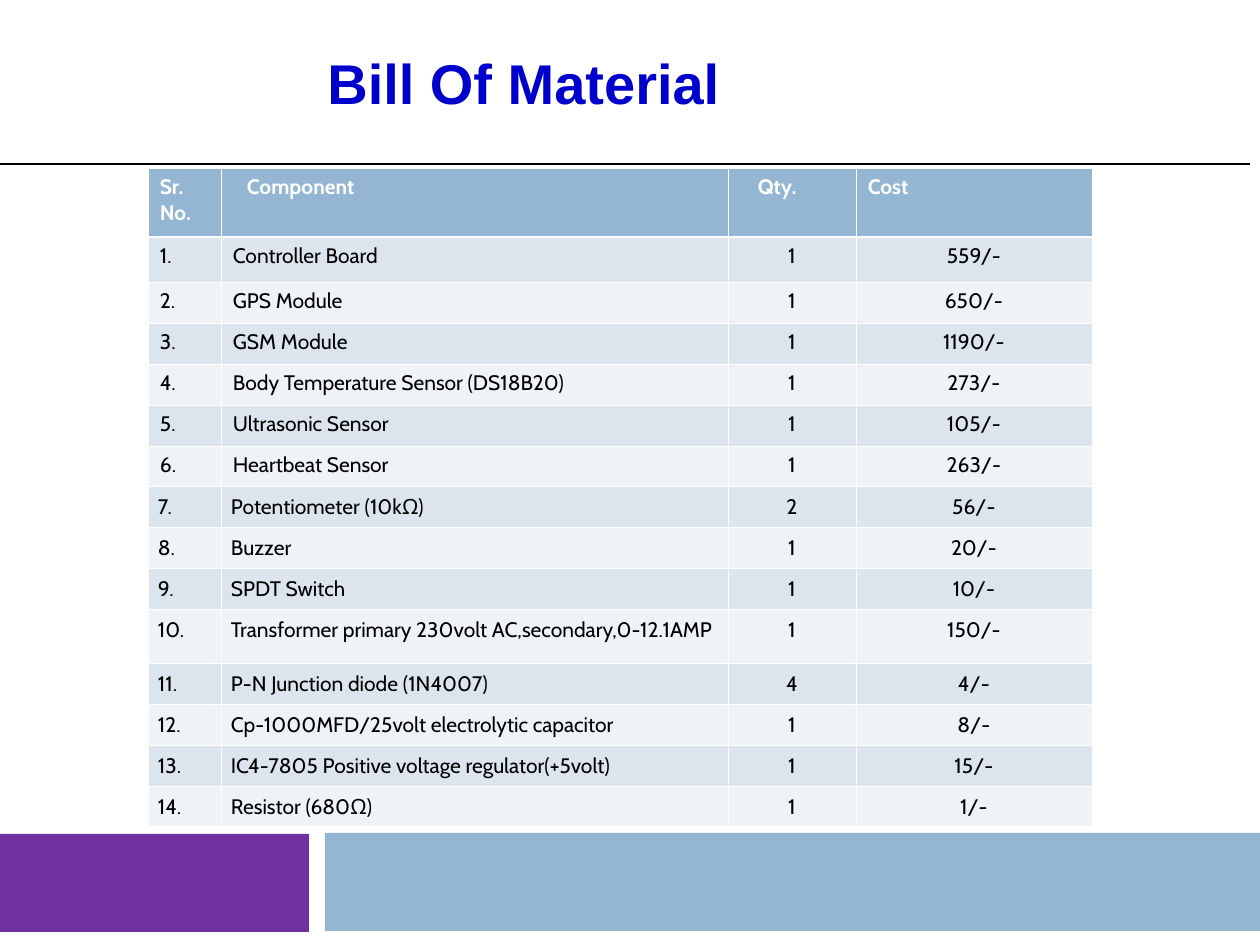
from pptx import Presentation
from pptx.dml.color import RGBColor
from pptx.enum.shapes import MSO_CONNECTOR, MSO_SHAPE
from pptx.enum.text import PP_ALIGN
from pptx.oxml.ns import qn
from pptx.util import Emu, Pt
from lxml import etree

RECTANGLE = MSO_SHAPE.RECTANGLE
STRAIGHT = MSO_CONNECTOR.STRAIGHT
LEFT, CENTER = PP_ALIGN.LEFT, PP_ALIGN.CENTER

WHITE = RGBColor(0xFF, 0xFF, 0xFF)
BLACK = RGBColor(0x00, 0x00, 0x00)
TITLE_BLUE = RGBColor(0x00, 0x00, 0xCC)
PURPLE = RGBColor(0x70, 0x30, 0xA0)
STEEL_BLUE = RGBColor(0x94, 0xB6, 0xD2)
DARK_BAND = RGBColor(0xDC, 0xE5, 0xEE)
LIGHT_BAND = RGBColor(0xEF, 0xF3, 0xF7)

HEADER = ("Sr. No.", "Component", "Qty.", "Cost")
HEADER_INDENTS = (0, 14, 18, 0)
ITEMS = [
    ("Controller Board", "1", "559/-"),
    ("GPS Module", "1", "650/-"),
    ("GSM Module", "1", "1190/-"),
    ("Body Temperature Sensor (DS18B20)", "1", "273/-"),
    ("Ultrasonic Sensor", "1", "105/-"),
    ("Heartbeat Sensor", "1", "263/-"),
    ("Potentiometer (10kΩ)", "2", "56/-"),
    ("Buzzer", "1", "20/-"),
    ("SPDT Switch", "1", "10/-"),
    ("Transformer primary 230volt AC,secondary,0-12.1AMP", "1", "150/-"),
    ("P-N Junction diode (1N4007)", "4", "4/-"),
    ("Cp-1000MFD/25volt electrolytic capacitor", "1", "8/-"),
    ("IC4-7805 Positive voltage regulator(+5volt)", "1", "15/-"),
    ("Resistor (680Ω)", "1", "1/-"),
]
COLUMN_WIDTHS = (73, 507, 128, 236)
ROW_HEIGHTS = [69, 45] + [41] * 8 + [54] + [41] * 3 + [40]
FIRST_SPACED_ROW = 7


def px(value):
    return Emu(round(value * 914400 / 126))


def add_border(cell, side, points):
    line = etree.SubElement(cell._tc.get_or_add_tcPr(), qn("a:" + side), w=str(Pt(points)))
    fill = etree.SubElement(line, qn("a:solidFill"))
    etree.SubElement(fill, qn("a:srgbClr"), val=str(WHITE))


presentation = Presentation()
presentation.slide_width = px(1260)
presentation.slide_height = px(945)
slide = presentation.slides.add_slide(presentation.slide_layouts[6])

# Footer bars
for left, top, width, color in ((-1, 834, 310, PURPLE), (325, 833, 935, STEEL_BLUE)):
    bar = slide.shapes.add_shape(RECTANGLE, px(left), px(top), px(width), px(98))
    bar.shadow.inherit = False
    bar.fill.solid()
    bar.fill.fore_color.rgb = color
    bar.line.fill.background()

# Rule under the title
rule = slide.shapes.add_connector(STRAIGHT, px(0), px(164), px(1250), px(164))
rule.line.color.rgb = BLACK
rule.line.width = Pt(0.79)
etree.SubElement(rule._element.spPr, qn("a:effectLst"))

# Title
title = slide.shapes.add_textbox(px(315), px(42), px(462), px(81))
title.text_frame.word_wrap = True
run = title.text_frame.paragraphs[0].add_run()
run.text = "Bill Of Material"
run.font.name = "Arial"
run.font.size = Pt(32)
run.font.bold = True
run.font.color.rgb = TITLE_BLUE

# Parts table
rows = [HEADER] + [(f"{number}.", *item) for number, item in enumerate(ITEMS, 1)]
table = slide.shapes.add_table(
    len(rows), len(HEADER), px(148), px(168), px(sum(COLUMN_WIDTHS)), px(sum(ROW_HEIGHTS))
).table
table.first_row = False
table.horz_banding = False
for column, width in zip(table.columns, COLUMN_WIDTHS):
    column.width = px(width)

for row_index, values in enumerate(rows):
    table.rows[row_index].height = px(ROW_HEIGHTS[row_index])
    is_header = row_index == 0
    is_spaced = row_index >= FIRST_SPACED_ROW
    band = STEEL_BLUE if is_header else (DARK_BAND if row_index % 2 else LIGHT_BAND)
    for column_index, value in enumerate(values):
        cell = table.cell(row_index, column_index)
        margin = 10 if is_spaced else 12
        indent = HEADER_INDENTS[column_index] if is_header else 0
        cell.margin_left = px(margin + indent)
        cell.margin_right = px(margin)
        cell.margin_top = cell.margin_bottom = px(6)

        # Thicker line between the header and the items
        add_border(cell, "lnL", 0.45)
        add_border(cell, "lnR", 0.45)
        add_border(cell, "lnT", 1.47 if row_index == 1 else 0.45)
        add_border(cell, "lnB", 1.47 if is_header else 0.45)
        cell.fill.solid()
        cell.fill.fore_color.rgb = band

        paragraph = cell.text_frame.paragraphs[0]
        paragraph.alignment = CENTER if column_index >= 2 and not is_header else LEFT
        if is_spaced:
            paragraph.line_spacing = 1.07
            paragraph.space_after = Pt(8)
        run = paragraph.add_run()
        run.text = value
        run.font.name = "Cabin"
        run.font.size = Pt(12)
        run.font.bold = is_header
        run.font.color.rgb = WHITE if is_header else BLACK

presentation.save("out.pptx")
